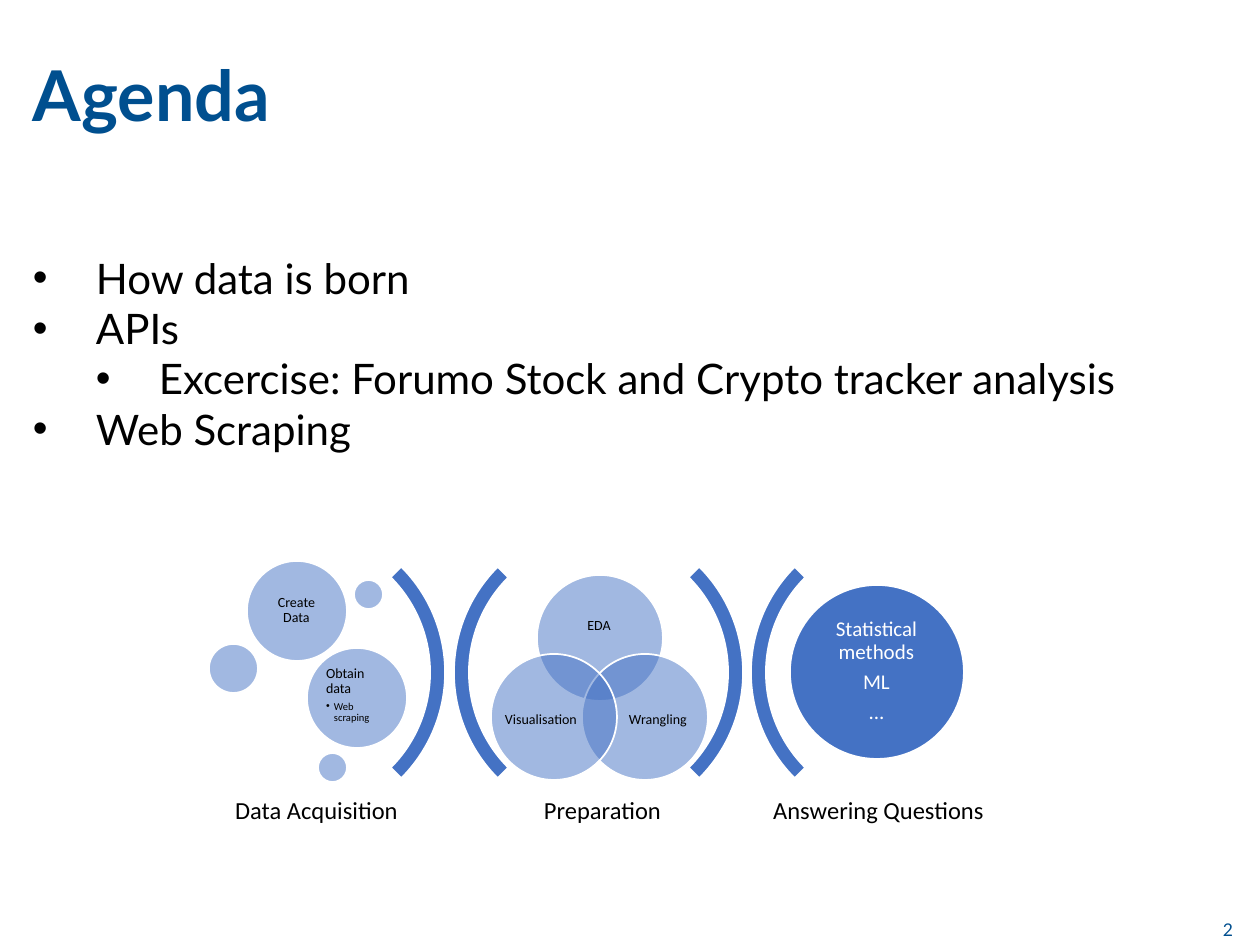
from lxml import etree
from pptx import Presentation
from pptx.dml.color import RGBColor
from pptx.enum.shapes import MSO_SHAPE
from pptx.enum.text import MSO_ANCHOR, PP_ALIGN
from pptx.oxml.ns import qn
from pptx.util import Emu, Pt

PIXELS_PER_INCH = 126
TOP, MIDDLE, BOTTOM = MSO_ANCHOR.TOP, MSO_ANCHOR.MIDDLE, MSO_ANCHOR.BOTTOM
LEFT, CENTER, RIGHT = PP_ALIGN.LEFT, PP_ALIGN.CENTER, PP_ALIGN.RIGHT
OVAL, ARC = MSO_SHAPE.OVAL, MSO_SHAPE.BLOCK_ARC

COLORS = {
    "heading": "004F8F",
    "accent": "4472C4",
    "text": "000000",
    "white": "FFFFFF",
}


def px(value):
    return Emu(round(value * 914400 / PIXELS_PER_INCH))


def color(name):
    return RGBColor.from_string(COLORS[name])


def add_text(slide, box, lines, size, font="Calibri", color_name="text",
             bold=False, align=CENTER, anchor=MIDDLE, margins=(0, 0, 0, 0)):
    shape = slide.shapes.add_textbox(*map(px, box))
    frame = shape.text_frame
    frame.word_wrap = True
    frame.vertical_anchor = anchor
    (frame.margin_left, frame.margin_top,
     frame.margin_right, frame.margin_bottom) = map(px, margins)
    frame.text = "\n".join(lines)
    for paragraph in frame.paragraphs:
        paragraph.alignment = align
        for run in paragraph.runs:
            run.font.name = font
            run.font.size = Pt(size)
            run.font.bold = bold
            run.font.color.rgb = color(color_name)
    return frame.paragraphs


def add_diagram_text(slide, box, lines, size, margin=0, **options):
    paragraphs = add_text(slide, box, lines, size, margins=(margin,) * 4, **options)
    for paragraph in paragraphs:
        paragraph.line_spacing = 0.9
        paragraph.space_after = Pt(round(size * 0.35, 1))
    return paragraphs


def add_bullet(paragraph, indent, hanging):
    properties = paragraph._p.get_or_add_pPr()
    properties.set("marL", str(px(indent)))
    properties.set("indent", str(-px(hanging)))
    etree.SubElement(properties, qn("a:buFont"), typeface="Arial")
    etree.SubElement(properties, qn("a:buChar"), char="•")


def add_filled_shape(slide, kind, left, top, size, opacity=100):
    shape = slide.shapes.add_shape(kind, px(left), px(top), px(size), px(size))
    shape.shadow.inherit = False
    shape.fill.solid()
    shape.fill.fore_color.rgb = color("accent")
    if opacity < 100:
        fill = shape._element.spPr.find(qn("a:solidFill"))
        etree.SubElement(fill[0], qn("a:alpha"), val=str(opacity * 1000))
    shape.line.color.rgb = color("white")
    shape.line.width = Pt(1)
    return shape


def add_arc(slide, left, rotation):
    arc = add_filled_shape(slide, ARC, left, 523, 299)
    arc.rotation = rotation
    for index, value in enumerate((135, 189, 0.05)):
        arc.adjustments[index] = value


def add_agenda(slide):
    add_text(slide, (20, 14, 977, 128), ["Agenda"], 40, "Lato", "heading",
             bold=True, align=LEFT, anchor=BOTTOM, margins=(13, 6, 13, 6))
    items = [
        ("How data is born", 0),
        ("APIs", 0),
        ("Excercise: Forumo Stock and Crypto tracker analysis", 1),
        ("Web Scraping", 0),
    ]
    # The large top margin starts the list below the heading area
    paragraphs = add_text(slide, (20, 145, 1201, 646), [text for text, _ in items], 24,
                          "Lato", align=LEFT, anchor=TOP, margins=(13, 107, 13, 6))
    for paragraph, (_, level) in zip(paragraphs, items):
        paragraph.level = level
        add_bullet(paragraph, 63 * (level + 1), 63)
    add_text(slide, (1208, 919, 25, 24), ["2"], 10, "Lato", "heading",
             align=RIGHT, anchor=TOP)


def add_acquisition(slide):
    for left, top, size in ((247, 561, 100), (209, 644, 49), (354, 580, 29),
                            (307, 648, 100), (318, 753, 29)):
        add_filled_shape(slide, OVAL, left, top, size, opacity=50)
    add_diagram_text(slide, (261, 575, 71, 71), ["Create Data"], 8, margin=4)
    _, detail = add_diagram_text(slide, (322, 662, 71, 71), ["Obtain data", "Web scraping"],
                                 8, margin=4, align=LEFT, anchor=TOP)
    detail.level = 1
    detail.space_after = Pt(0.9)
    detail.runs[0].font.size = Pt(6)
    add_bullet(detail, 8, 8)


def add_preparation(slide):
    circles = [
        ("EDA", 537, 575, (553, 597, 92, 57)),
        ("Wrangling", 582, 654, (620, 685, 76, 69)),
        ("Visualisation", 491, 654, (503, 685, 76, 69)),
    ]
    for label, left, top, label_box in circles:
        add_filled_shape(slide, OVAL, left, top, 126, opacity=50)
        add_diagram_text(slide, label_box, [label], 8)


def add_answers(slide):
    add_filled_shape(slide, OVAL, 790, 585, 174)
    add_diagram_text(slide, (815, 610, 123, 123), ["Statistical methods", "ML", "..."],
                     12, margin=6, color_name="white")


def main():
    presentation = Presentation()
    presentation.slide_width = px(1260)
    presentation.slide_height = px(945)
    slide = presentation.slides.add_slide(presentation.slide_layouts[6])

    # Heading, list and page number
    add_agenda(slide)

    # Arcs between the three stages
    for left, rotation in ((146, 90), (454, 270), (444, 90), (751, 270)):
        add_arc(slide, left, rotation)

    # Stage contents
    add_preparation(slide)
    add_acquisition(slide)
    add_answers(slide)

    # Stage captions
    for left, caption in ((203, "Data Acquisition"), (489, "Preparation"),
                          (765, "Answering Questions")):
        add_diagram_text(slide, (left, 782, 227, 59), [caption], 14, margin=8)

    presentation.save("out.pptx")


if __name__ == "__main__":
    main()
